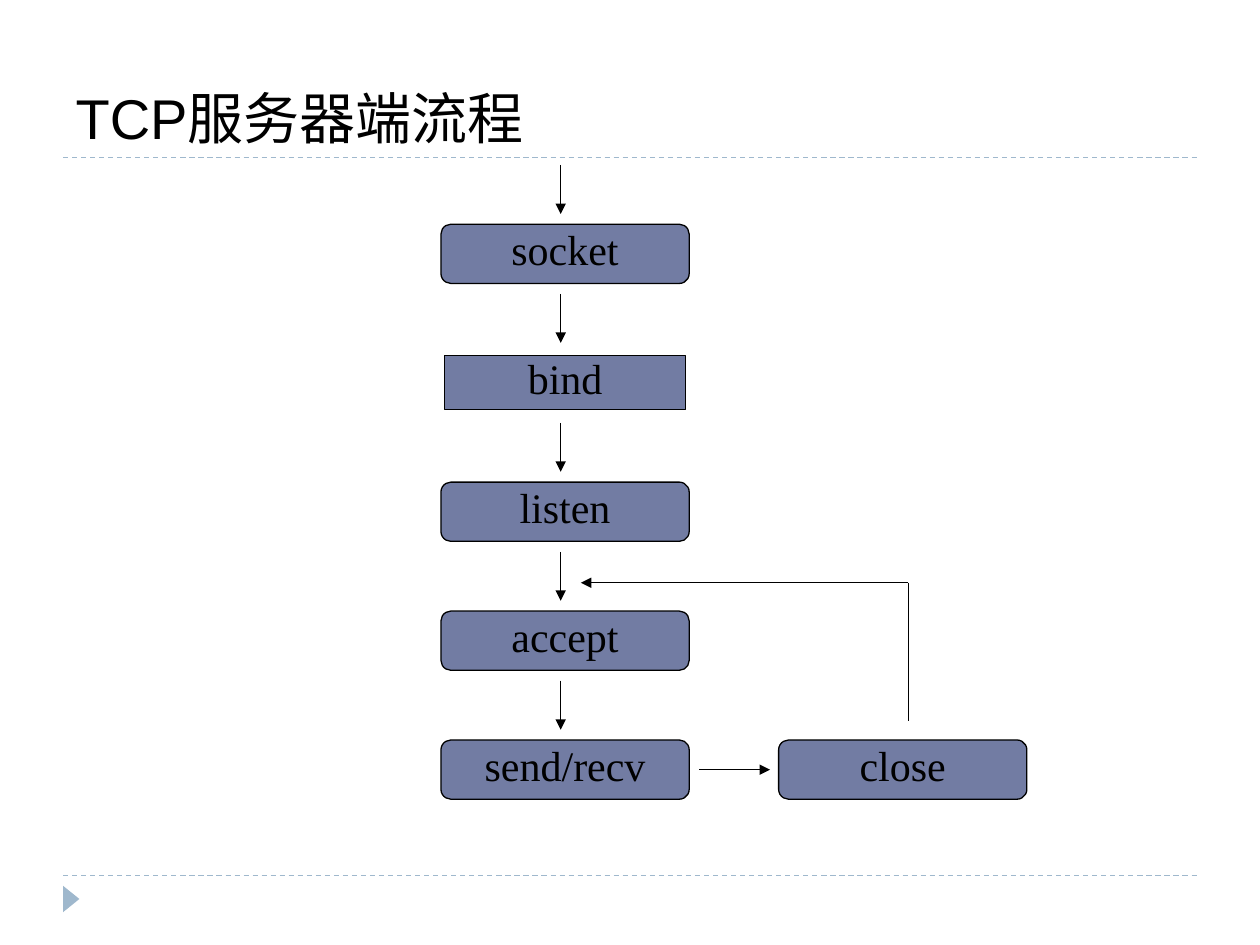
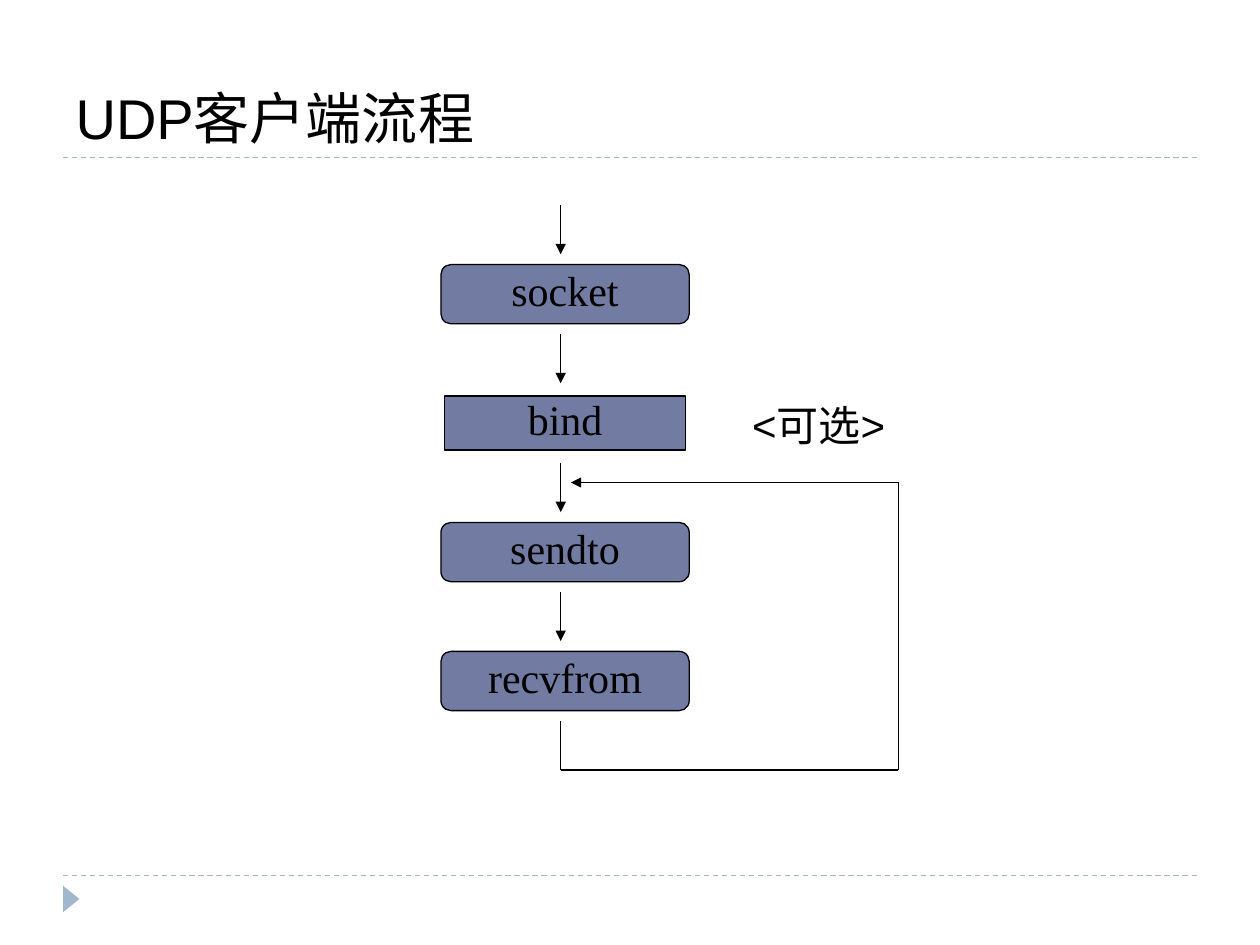
from dataclasses import dataclass
from itertools import pairwise
from typing import Any

from pptx import Presentation
from pptx.dml.color import RGBColor
from pptx.enum.dml import MSO_LINE
from pptx.enum.shapes import MSO_CONNECTOR, MSO_SHAPE
from pptx.enum.text import MSO_ANCHOR, PP_ALIGN
from pptx.oxml.ns import qn
from pptx.util import Inches, Pt

STRAIGHT = MSO_CONNECTOR.STRAIGHT
DASH = MSO_LINE.DASH
TRIANGLE = MSO_SHAPE.ISOSCELES_TRIANGLE
ROUNDED = MSO_SHAPE.FLOWCHART_ALTERNATE_PROCESS
SQUARE = MSO_SHAPE.RECTANGLE
MIDDLE, BOTTOM = MSO_ANCHOR.MIDDLE, MSO_ANCHOR.BOTTOM
CENTER, LEFT = PP_ALIGN.CENTER, PP_ALIGN.LEFT

BLACK = RGBColor(0x00, 0x00, 0x00)
WHITE = RGBColor(0xFF, 0xFF, 0xFF)
STEP_FILL = RGBColor(0x72, 0x7C, 0xA3)
ACCENT = RGBColor(0x9F, 0xB8, 0xCD)

SLIDE_WIDTH, SLIDE_HEIGHT = 10, 7.5
MARGIN = 0.05 * SLIDE_WIDTH
RULE_TOPS = (1.25, 6.95)
TITLE_AREA = (MARGIN, 0.17, SLIDE_WIDTH - 2 * MARGIN, 1.08)
MARKER_AREA = (0.46, 7.07, 0.21, 0.13)

SPINE = 4.45
STEP_LEFT = 3.5
STEP_WIDTH, STEP_HEIGHT = 1.97, 0.47
COLUMN_PITCH = 2.68
ROW_PITCH = 3.07 / 3
ENTRY_START, ENTRY_END = -0.46, -0.08
LINE_WIDTH = Pt(0.75)

TITLE_FONT = {"name": "Arial", "size": Pt(32)}
STEP_FONT = {"name": "Times New Roman", "size": Pt(24)}
NOTE_FONT = {"name": "Arial", "size": Pt(24)}

Point = tuple[float, float]


@dataclass(frozen=True)
class Step:
    label: str
    row: int
    column: int = 0
    outline: Any = ROUNDED
    inset: Point = (0, 0)


@dataclass(frozen=True)
class Note:
    text: str
    column: float
    row: float


@dataclass(frozen=True)
class Flow:
    title: str
    first_top: float
    steps: tuple[Step, ...]
    routes: tuple[tuple[Point, ...], ...]
    notes: tuple[Note, ...] = ()

    def locate(self, point: Point) -> Point:
        column, row = point
        return SPINE + column * COLUMN_PITCH, self.first_top + row * ROW_PITCH


def bind_step() -> Step:
    return Step("bind", 1, outline=SQUARE, inset=(0.03, 0.02))


FLOWS = (
    Flow(
        "TCP服务器端流程",
        1.78,
        (
            Step("socket", 0),
            bind_step(),
            Step("listen", 2),
            Step("accept", 3),
            Step("send/recv", 4),
            Step("close", 4, column=1),
        ),
        (
            ((0.41, 4.23), (0.62, 4.23)),
            ((1.03, 3.85), (1.03, 2.78), (0.06, 2.78)),
        ),
    ),
    Flow(
        "UDP客户端流程",
        2.1,
        (
            Step("socket", 0),
            bind_step(),
            Step("sendto", 2),
            Step("recvfrom", 3),
        ),
        (((0, 3.54), (0, 3.92), (1, 3.92), (1, 1.69), (0.03, 1.69)),),
        (Note("<可选>", 0.53, 1),),
    ),
)


def apply(target: Any, values: dict[str, Any]) -> None:
    for attribute, value in values.items():
        setattr(target, attribute, value)


def write(frame: Any, text: str, font: dict, paragraph: dict) -> None:
    frame.text = text
    first = frame.paragraphs[0]
    apply(first, paragraph)
    run = first.runs[0]
    apply(run.font, font)
    run.font.color.rgb = BLACK


def draw_line(slide: Any, start: Point, end: Point, color: RGBColor = BLACK,
              dashed: bool = False, arrow: bool = False) -> Any:
    line = slide.shapes.add_connector(
        STRAIGHT, *(Inches(length) for length in (*start, *end)))
    line.line.color.rgb = color
    line.line.width = LINE_WIDTH
    if dashed:
        line.line.dash_style = DASH
    properties = line.element.spPr
    if arrow:
        outline = properties.find(qn("a:ln"))
        tail = outline.makeelement(qn("a:tailEnd"), {"type": "triangle"})
        outline.append(tail)
    properties.append(properties.makeelement(qn("a:effectLst"), {}))
    return line


def draw_shape(slide: Any, outline: Any, area: tuple, fill: RGBColor) -> Any:
    shape = slide.shapes.add_shape(outline, *map(Inches, area))
    shape.shadow.inherit = False
    shape.fill.solid()
    shape.fill.fore_color.rgb = fill
    return shape


def draw_step(slide: Any, flow: Flow, step: Step) -> None:
    inset_x, inset_y = step.inset
    _, top = flow.locate((step.column, step.row))
    left = STEP_LEFT + step.column * COLUMN_PITCH
    area = (left + inset_x, top + inset_y,
            STEP_WIDTH - 2 * inset_x, STEP_HEIGHT - 2 * inset_y)
    box = draw_shape(slide, step.outline, area, STEP_FILL)
    box.line.color.rgb = BLACK
    box.line.width = LINE_WIDTH
    box.text_frame.vertical_anchor = MIDDLE
    write(box.text_frame, step.label, STEP_FONT,
          {"alignment": CENTER, "line_spacing": 0.8})


def draw_route(slide: Any, flow: Flow, route: tuple[Point, ...]) -> None:
    for start, end in pairwise(route):
        draw_line(slide, flow.locate(start), flow.locate(end),
                  arrow=end == route[-1])


def draw_note(slide: Any, flow: Flow, note: Note) -> None:
    left, top = flow.locate((note.column, note.row))
    box = slide.shapes.add_textbox(*map(Inches, (left, top, 2.05, 0.5)))
    box.text_frame.word_wrap = True
    write(box.text_frame, note.text, NOTE_FONT, {"space_before": Pt(15)})


def furnish_layout(layout: Any, slide: Any) -> None:
    layout.background.fill.solid()
    layout.background.fill.fore_color.rgb = WHITE
    title = layout.placeholders[0]
    apply(title, dict(zip(("left", "top", "width", "height"),
                          map(Inches, TITLE_AREA))))
    title.text_frame.vertical_anchor = BOTTOM
    rules = [draw_line(slide, (MARGIN, top), (SLIDE_WIDTH - MARGIN, top),
                       ACCENT, dashed=True) for top in RULE_TOPS]
    marker = draw_shape(slide, TRIANGLE, MARKER_AREA, ACCENT)
    marker.rotation = 90
    marker.line.fill.background()
    for part in (*rules, marker):
        layout.shapes.element.append(part.element)


def draw_flow(slide: Any, flow: Flow) -> None:
    write(slide.shapes.title.text_frame, flow.title, TITLE_FONT,
          {"alignment": LEFT})
    for step in flow.steps:
        draw_step(slide, flow, step)
        if step.column == 0:
            draw_route(slide, flow, ((0, step.row + ENTRY_START),
                                     (0, step.row + ENTRY_END)))
    for route in flow.routes:
        draw_route(slide, flow, route)
    for note in flow.notes:
        draw_note(slide, flow, note)


def main() -> None:
    deck = Presentation()
    deck.slide_width = Inches(SLIDE_WIDTH)
    deck.slide_height = Inches(SLIDE_HEIGHT)
    layout = deck.slide_layouts[5]
    slides = [deck.slides.add_slide(layout) for _ in FLOWS]
    furnish_layout(layout, slides[0])
    for slide, flow in zip(slides, FLOWS):
        draw_flow(slide, flow)
    deck.save("out.pptx")


if __name__ == "__main__":
    main()
